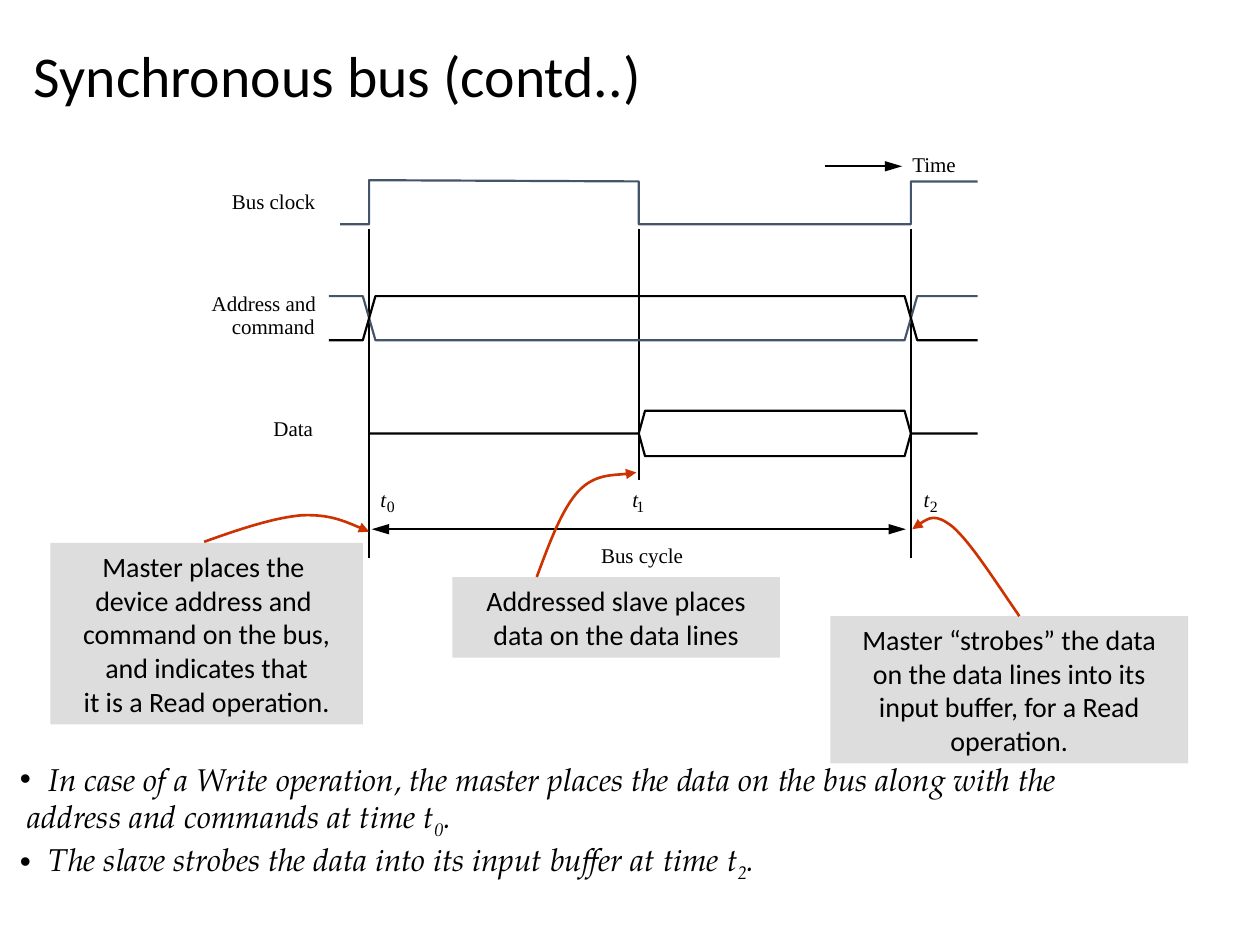
from lxml.etree import SubElement
from pptx import Presentation
from pptx.dml.color import RGBColor
from pptx.enum.shapes import MSO_CONNECTOR as Connector, MSO_SHAPE as Shape
from pptx.enum.text import MSO_ANCHOR as Anchor, PP_ALIGN as Align
from pptx.oxml.ns import qn
from pptx.util import Inches, Pt

BLACK, SLATE, RUST, GREY = "000000", "44546A", "CC3300", "DDDDDD"
SERIF, SANS, BOOK = "Times New Roman", "Calibri", "TeX Gyre Pagella"
T0, T1, T2 = 2.93, 5.07, 7.23
LEFT, RIGHT = 2.61, 7.76
SLOPE = 0.05


def color(code):
    return RGBColor.from_string(code)


def add_run(paragraph, text, size, font, italic=False, baseline=0):
    run = paragraph.add_run()
    run.text = text
    run.font.size = Pt(size)
    run.font.name = font
    run.font.italic = italic
    run.font.color.rgb = color(BLACK)
    if baseline:
        run.font._element.set("baseline", str(baseline * 1000))


def add_text_box(slide, left, top, width, height, inset=True):
    box = slide.shapes.add_textbox(*map(Inches, (left, top, width, height)))
    frame = box.text_frame
    frame.word_wrap = True
    if not inset:
        frame.margin_left = frame.margin_right = 0
        frame.margin_top = frame.margin_bottom = 0
    return frame


def add_label(slide, text, left, top, width, size=12, italic=False):
    frame = add_text_box(slide, left, top, width, size / 60, inset=False)
    add_run(frame.paragraphs[0], text, size, SERIF, italic)


def add_instant(slide, index, left, gap=0.05):
    add_label(slide, "t", left, 3.86, 0.06, italic=True)
    add_label(slide, index, left + gap, 3.94, 0.08, size=9)


def add_arrowheads(outline, ends, length):
    line = outline.line._get_or_add_ln()
    for end in ends:
        SubElement(line, qn(f"a:{end}"), type="triangle", w="med", len=length)


def add_line(slide, start, finish, ends=()):
    points = map(Inches, (*start, *finish))
    line = slide.shapes.add_connector(Connector.STRAIGHT, *points)
    line.line.color.rgb = color(BLACK)
    line.line.width = Pt(1.25)
    SubElement(line._element.spPr, qn("a:effectLst"))
    add_arrowheads(line, ends, "lg")


def add_trace(slide, points, stroke, width=1.25):
    emu = [(Inches(x), Inches(y)) for x, y in points]
    builder = slide.shapes.build_freeform(*emu[0])
    builder.add_line_segments(emu[1:], close=False)
    trace = builder.convert_to_shape()
    trace.fill.background()
    trace.line.color.rgb = color(stroke)
    trace.line.width = Pt(width)
    trace.shadow.inherit = False
    return trace


def add_pointer(slide, points):
    pointer = add_trace(slide, points, RUST, 1.5)
    corners = pointer._element.xpath(".//a:lnTo")
    outline = corners[0].getparent()
    for first in range(0, len(corners), 3):
        curve = SubElement(outline, qn("a:cubicBezTo"))
        for corner in corners[first:first + 3]:
            curve.append(corner[0])
            outline.remove(corner)
    add_arrowheads(pointer, ["tailEnd"], "med")


def add_callout(slide, lines, left, top, width, height):
    callout = slide.shapes.add_shape(
        Shape.RECTANGLE, *map(Inches, (left, top, width, height)))
    callout.fill.solid()
    callout.fill.fore_color.rgb = color(GREY)
    callout.line.fill.background()
    callout.shadow.inherit = False
    frame = callout.text_frame
    frame.word_wrap = False
    for number, line in enumerate(lines):
        paragraph = frame.add_paragraph() if number else frame.paragraphs[0]
        paragraph.alignment = Align.CENTER
        add_run(paragraph, line, 16, SANS)


def add_title(slide, text):
    frame = add_text_box(slide, 0.17, 0, 9.08, 1.25)
    frame.vertical_anchor = Anchor.MIDDLE
    frame.paragraphs[0].line_spacing = 0.9
    add_run(frame.paragraphs[0], text, 33, SANS)


def add_notes_on_write(slide):
    frame = add_text_box(slide, 0.06, 5.98, 9.78, 1.08)
    statements = [
        (True, "In case of a Write operation, the master places the data "
               "on the bus along with the", ""),
        (False, " address and commands at time t", "0"),
        (True, "The slave strobes the data into its input buffer at time t", "2"),
    ]
    for number, (bulleted, text, index) in enumerate(statements):
        paragraph = frame.add_paragraph() if number else frame.paragraphs[0]
        if bulleted:
            properties = paragraph._p.get_or_add_pPr()
            properties.set("marL", str(Inches(0.23)))
            properties.set("indent", str(-Inches(0.23)))
            SubElement(properties, qn("a:buFont"), typeface="Arial")
            SubElement(properties, qn("a:buChar"), char="•")
        add_run(paragraph, text, 18, BOOK, True)
        if index:
            add_run(paragraph, index, 18, BOOK, True, -25)
            add_run(paragraph, ".", 18, BOOK, True)


def bus_level(near, far):
    return [(RIGHT, near), (T2 + SLOPE, near), (T2 - SLOPE, far),
            (T0 + SLOPE, far), (T0 - SLOPE, near), (LEFT, near)]


def add_timing_diagram(slide):
    for instant, bottom in ((T2, 4.43), (T0, 4.43), (T1, 3.81)):
        add_line(slide, (instant, bottom), (instant, 1.82))

    high, low = 2.35, 2.7
    add_trace(slide, bus_level(high, low), SLATE)
    idle, data_high, data_low = 3.44, 3.26, 3.62
    add_trace(slide, [(T2, idle), (T2 - SLOPE, data_low),
                      (T1 + SLOPE, data_low), (T1, idle)], BLACK)
    add_trace(slide, [(RIGHT, idle), (T2, idle), (T2 - SLOPE, data_high),
                      (T1 + SLOPE, data_high), (T1, idle), (T0, idle)], BLACK)
    add_trace(slide, bus_level(low, high), BLACK)
    add_trace(slide, [(RIGHT, 1.44), (T2, 1.44), (T2, 1.78), (T1, 1.78),
                      (T1, 1.44), (T0, 1.43), (T0, 1.78), (2.7, 1.78)], SLATE)

    add_line(slide, (2.95, 4.2), (7.19, 4.2), ("headEnd", "tailEnd"))
    add_line(slide, (6.55, 1.32), (7.16, 1.32), ("tailEnd",))

    for text, left, top, width in (
        ("Bus cycle", 4.77, 4.31, 0.72),
        ("Data", 2.17, 3.3, 0.38),
        ("Bus clock", 1.84, 1.5, 0.72),
        ("Address and", 1.68, 2.31, 0.88),
        ("command", 1.84, 2.49, 0.72),
        ("Time", 7.24, 1.2, 0.42),
    ):
        add_label(slide, text, left, top, width)
    add_instant(slide, "0", 3.02)
    add_instant(slide, "1", 5.02, 0.03)
    add_instant(slide, "2", 7.33)


def main():
    deck = Presentation()
    deck.slide_width, deck.slide_height = Inches(10), Inches(7.5)
    slide = deck.slides.add_slide(deck.slide_layouts[6])

    add_title(slide, "Synchronous bus (contd..)")
    add_timing_diagram(slide)
    add_callout(slide, ["Master places the ", "device address and ",
                        "command on the bus,", "and indicates that",
                        "it is a Read operation."], 0.4, 4.31, 2.48, 1.44)
    add_callout(slide, ["Addressed slave places", "data on the data lines"],
                3.59, 4.58, 2.6, 0.64)
    add_callout(slide, ["Master “strobes” the data", "on the data lines into its",
                        "input buffer, for a Read", "operation."],
                6.59, 4.89, 2.84, 1.17)
    add_pointer(slide, [(1.62, 4.3), (1.9, 4.2), (2.17, 4.11), (2.39, 4.09),
                        (2.61, 4.08), (2.77, 4.15), (2.93, 4.22)])
    add_pointer(slide, [(4.26, 4.58), (4.36, 4.31), (4.46, 4.04), (4.59, 3.9),
                        (4.72, 3.76), (4.98, 3.77), (5.05, 3.75)])
    add_pointer(slide, [(8.09, 4.89), (7.89, 4.6), (7.7, 4.3), (7.56, 4.18),
                        (7.42, 4.07), (7.33, 4.13), (7.24, 4.2)])
    add_notes_on_write(slide)
    deck.save("out.pptx")


if __name__ == "__main__":
    main()
